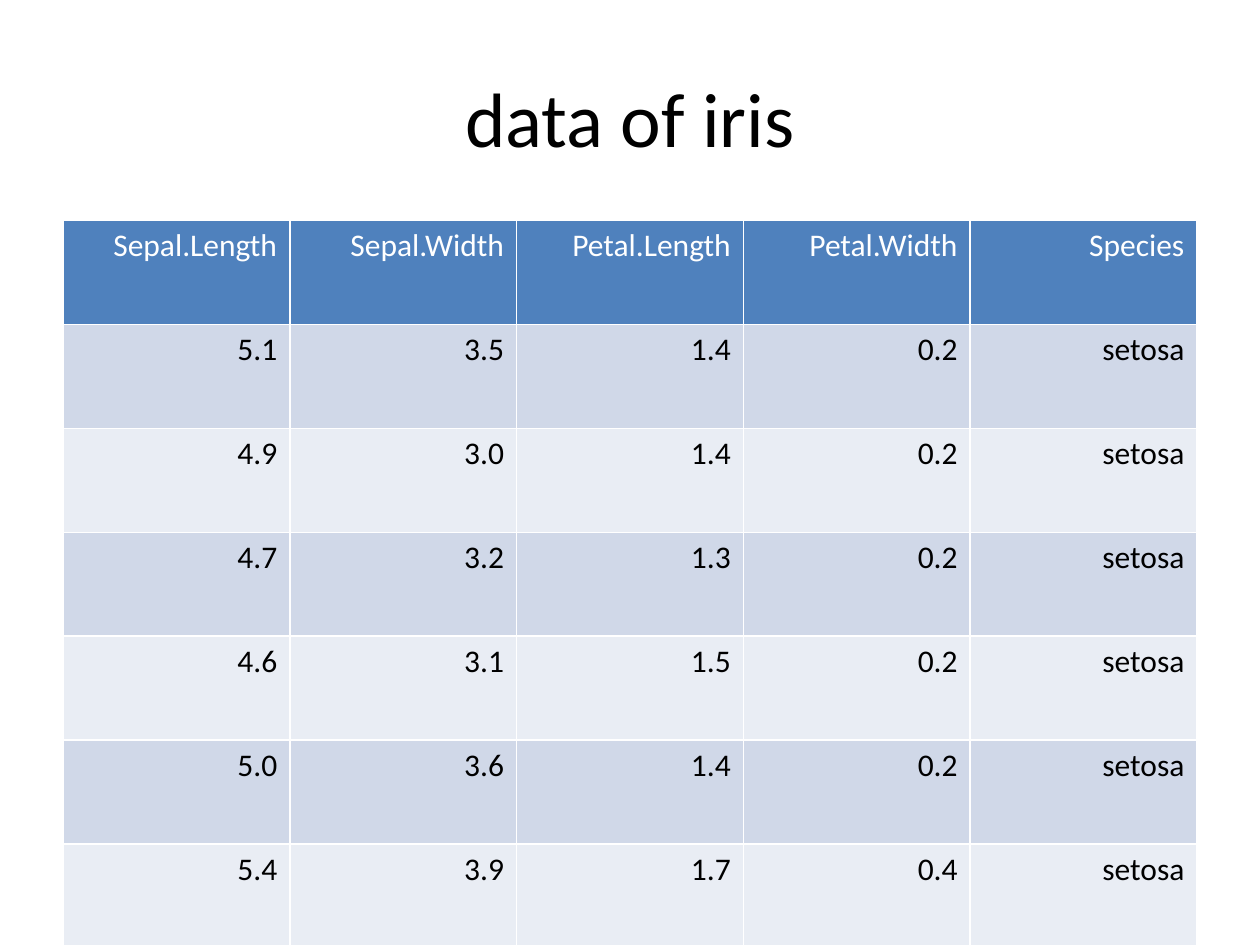
from pptx import Presentation
from pptx.dml.color import RGBColor
from pptx.enum.text import MSO_ANCHOR as Anchor, PP_ALIGN as Align
from pptx.util import Pt

WHITE = RGBColor(0xFF, 0xFF, 0xFF)
BLACK = RGBColor(0x00, 0x00, 0x00)
HEADER_BLUE = RGBColor(0x4F, 0x81, 0xBD)
BAND_DARK = RGBColor(0xD0, 0xD8, 0xE8)
BAND_LIGHT = RGBColor(0xE9, 0xED, 0xF4)
FONT = "Calibri"
ROW_HEIGHT = Pt(59.4)

IRIS_ROWS = [
    ("Sepal.Length", "Sepal.Width", "Petal.Length", "Petal.Width", "Species"),
    ("5.1", "3.5", "1.4", "0.2", "setosa"),
    ("4.9", "3.0", "1.4", "0.2", "setosa"),
    ("4.7", "3.2", "1.3", "0.2", "setosa"),
    ("4.6", "3.1", "1.5", "0.2", "setosa"),
    ("5.0", "3.6", "1.4", "0.2", "setosa"),
    ("5.4", "3.9", "1.7", "0.4", "setosa"),
]


def format_paragraph(para, size, color, alignment):
    """Set the font and alignment of a paragraph."""
    para.alignment = alignment
    para.font.name = FONT
    para.font.size = Pt(size)
    para.font.bold = False
    para.font.color.rgb = color


def place_title(page, text, left, top, width, height):
    """Move, fill and format the title placeholder."""
    title = page.shapes.title
    title.left, title.top, title.width, title.height = left, top, width, height
    title.text_frame.text = text
    title.text_frame.vertical_anchor = Anchor.MIDDLE
    format_paragraph(title.text_frame.paragraphs[0], 44, BLACK, Align.CENTER)


def place_iris_table(page, rows, left, top, width, height):
    """Add the banded table of measurements."""
    frame = page.shapes.add_table(len(rows), len(rows[0]), left, top, width, height)
    table = frame.table
    for row_index, values in enumerate(rows):
        table.rows[row_index].height = ROW_HEIGHT
        if row_index == 0:
            fill, color = HEADER_BLUE, WHITE
        else:
            fill, color = (BAND_DARK if row_index % 2 else BAND_LIGHT), BLACK
        for column_index, value in enumerate(values):
            cell = table.cell(row_index, column_index)
            cell.text = value
            cell.fill.solid()
            cell.fill.fore_color.rgb = fill
            format_paragraph(cell.text_frame.paragraphs[0], 18, color, Align.RIGHT)
    frame.height = height


def main():
    """Build and save the deck."""
    deck = Presentation()
    deck.slide_width, deck.slide_height = Pt(720), Pt(540)
    page = deck.slides.add_slide(deck.slide_layouts[5])
    place_title(page, "data of iris", Pt(36), Pt(21.6), Pt(648), Pt(90))
    place_iris_table(page, IRIS_ROWS, Pt(36), Pt(126), Pt(648), Pt(356.4))
    deck.save("out.pptx")


if __name__ == "__main__":
    main()
